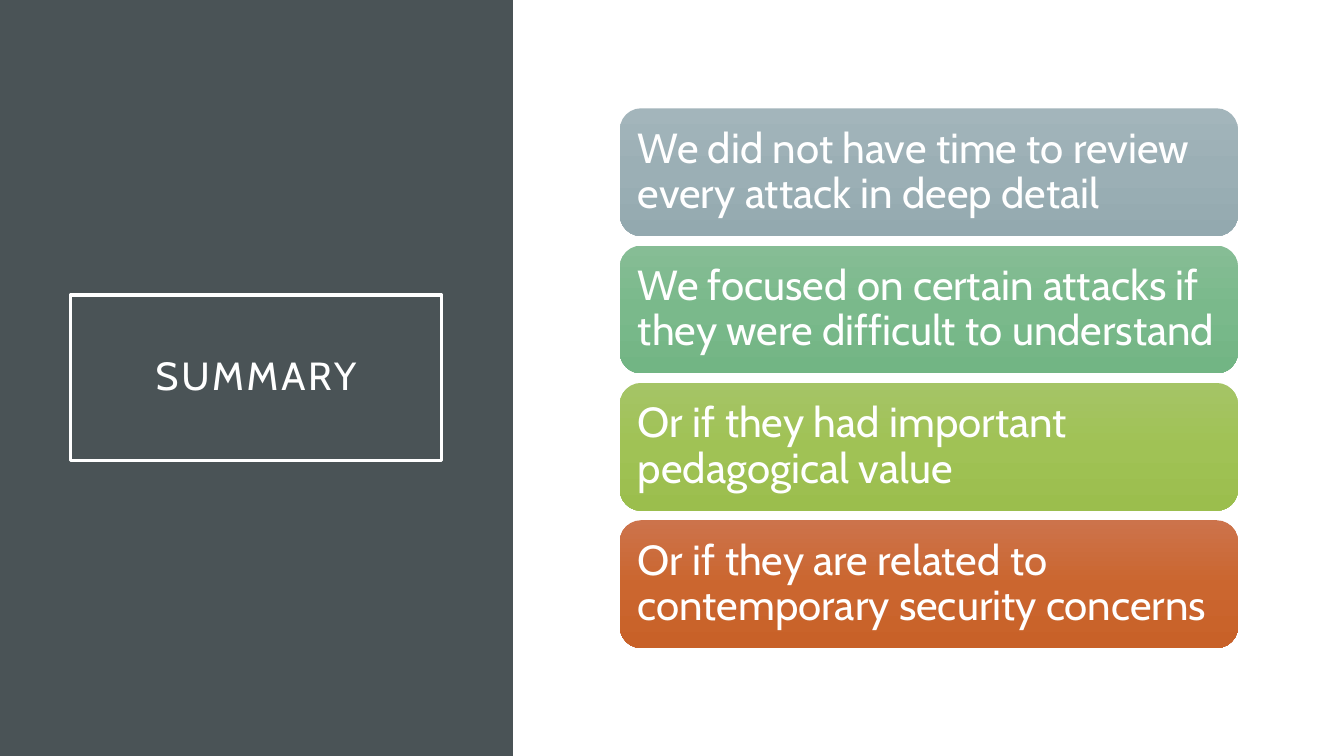
from copy import deepcopy
from dataclasses import dataclass

from pptx import Presentation
from pptx import util as u
from pptx.dml.color import RGBColor
from pptx.enum import shapes, text
from pptx.oxml.ns import qn
from pptx.shapes.autoshape import Shape
from pptx.slide import Slide


@dataclass(frozen=True)
class Theme:
    font: str = "Cabin"
    panel: str = "4A5356"
    light: str = "FFFFFF"
    title_size: float = 28
    point_size: float = 30
    title_spacing: float = 2
    border: float = 2.5


@dataclass(frozen=True)
class Box:
    left: float
    top: float
    width: float
    height: float


@dataclass(frozen=True)
class Point:
    wording: str
    gradient: tuple[str, str, str]


THEME = Theme()
SLIDE_WIDTH, SLIDE_HEIGHT = 33.87, 19.05
PANEL = Box(0, 0, 12.93, SLIDE_HEIGHT)
TITLE = Box(1.78, 7.44, 9.35, 4.17)
FIRST_POINT = Box(15.62, 2.73, 15.58, 3.22)
POINT_PITCH = 3.46

POINTS = [
    Point("We did not have time to review every attack in deep detail",
          ("A3B5BB", "9BAFB5", "93A9AF")),
    Point("We focused on certain attacks if they were difficult to understand",
          ("86BD95", "7AB98B", "72B584")),
    Point("Or if they had important pedagogical value",
          ("A5C466", "A0C255", "9BBE4D")),
    Point("Or if they are related to contemporary security concerns",
          ("CC734B", "CB662F", "C86128")),
]


def add_box(slide: Slide, kind: shapes.MSO_SHAPE, box: Box) -> Shape:
    """Add a preset shape with neither shadow nor outline."""
    shape = slide.shapes.add_shape(
        kind, u.Cm(box.left), u.Cm(box.top), u.Cm(box.width), u.Cm(box.height))
    shape.shadow.inherit = False
    shape.line.fill.background()
    return shape


def fill_gradient(shape: Shape, colours: tuple[str, ...]) -> None:
    """Fill from top to bottom with evenly spaced colour stops."""
    shape.fill.gradient()
    shape.fill.gradient_angle = 270
    stop_list = shape.fill._xPr.find(qn("a:gradFill")).find(qn("a:gsLst"))
    while len(stop_list) < len(colours):
        stop_list.append(deepcopy(stop_list[0]))
    for index, (stop, colour) in enumerate(zip(shape.fill.gradient_stops, colours)):
        stop.position = index / (len(colours) - 1)
        stop.color.rgb = RGBColor.from_string(colour)


def write(shape: Shape, wording: str, size: float, align: text.PP_ALIGN,
          inset: float, spacing: float = 0) -> None:
    """Write one vertically centred paragraph inside a shape."""
    frame = shape.text_frame
    frame.word_wrap = True
    frame.vertical_anchor = text.MSO_ANCHOR.MIDDLE
    frame.margin_left = frame.margin_right = u.Cm(inset)
    frame.margin_top = frame.margin_bottom = u.Cm(inset)
    paragraph = frame.paragraphs[0]
    paragraph.alignment = align
    paragraph.line_spacing = 0.9
    run = paragraph.add_run()
    run.text = wording
    run.font.name = THEME.font
    run.font.size = u.Pt(size)
    run.font.color.rgb = RGBColor.from_string(THEME.light)
    if spacing:
        run.font._element.set("spc", str(round(spacing * 100)))


def add_title_panel(slide: Slide) -> None:
    panel = add_box(slide, shapes.MSO_SHAPE.RECTANGLE, PANEL)
    panel.fill.solid()
    panel.fill.fore_color.rgb = RGBColor.from_string(THEME.panel)

    title = add_box(slide, shapes.MSO_SHAPE.RECTANGLE, TITLE)
    title.fill.background()
    title.line.color.rgb = RGBColor.from_string(THEME.light)
    title.line.width = u.Pt(THEME.border)
    write(title, "SUMMARY", THEME.title_size, text.PP_ALIGN.CENTER,
          inset=0.5, spacing=THEME.title_spacing)


def add_point(slide: Slide, point: Point, row: int) -> None:
    box = Box(FIRST_POINT.left, FIRST_POINT.top + row * POINT_PITCH,
              FIRST_POINT.width, FIRST_POINT.height)
    card = add_box(slide, shapes.MSO_SHAPE.ROUNDED_RECTANGLE, box)
    fill_gradient(card, point.gradient)
    write(card, point.wording, THEME.point_size, text.PP_ALIGN.LEFT, inset=0.3)


def main() -> None:
    deck = Presentation()
    deck.slide_width, deck.slide_height = u.Cm(SLIDE_WIDTH), u.Cm(SLIDE_HEIGHT)
    slide = deck.slides.add_slide(deck.slide_layouts[6])

    # Dark panel with the framed title
    add_title_panel(slide)

    # Stack of summary points
    for row, point in enumerate(POINTS):
        add_point(slide, point, row)

    deck.save("out.pptx")


if __name__ == "__main__":
    main()
